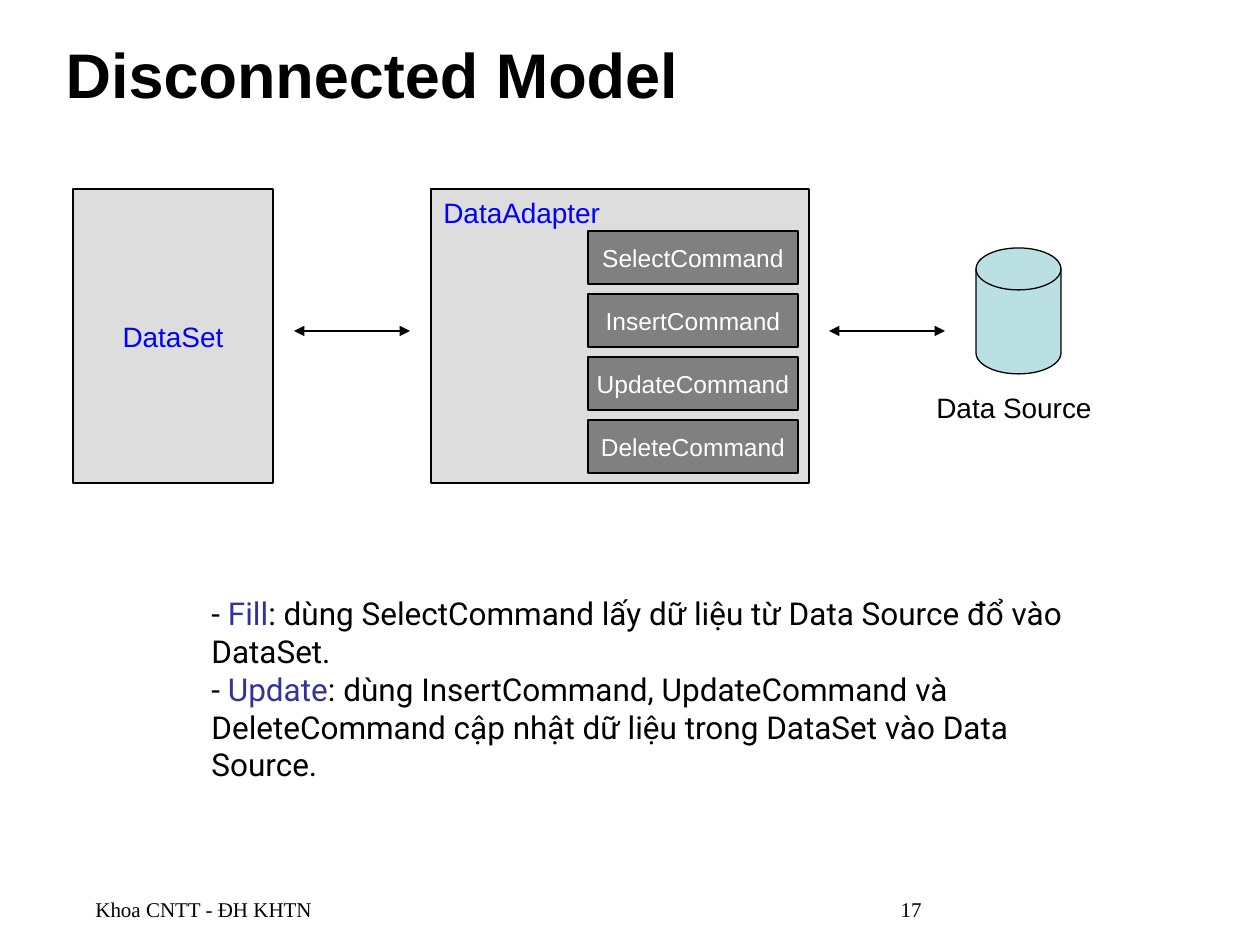
"""Build the Disconnected Model slide."""
from dataclasses import dataclass

from lxml.etree import SubElement
from pptx import Presentation
from pptx.dml.color import RGBColor
from pptx.enum.shapes import MSO_CONNECTOR, MSO_SHAPE
from pptx.enum.text import MSO_ANCHOR, MSO_AUTO_SIZE, PP_ALIGN
from pptx.oxml.ns import qn
from pptx.util import Emu, Pt

TITLE = "Disconnected Model"
COMMANDS = ["SelectCommand", "InsertCommand", "UpdateCommand", "DeleteCommand"]
METHODS = [
    ("Fill", ": dùng SelectCommand lấy dữ liệu từ Data Source đổ vào DataSet."),
    ("Update", ": dùng InsertCommand, UpdateCommand và DeleteCommand "
               "cập nhật dữ liệu trong DataSet vào Data Source."),
]
FOOTER, PAGE = "Khoa CNTT - ĐH KHTN", "17"

TITLE_BOX = (53, 21, 1144, 105)
DATASET_BOX = (73, 189, 200, 294)
ADAPTER_BOX = (431, 189, 378, 294)
ADAPTER_LABEL = (431, 189, 346, 46)
COMMAND_BOX = (588, 231, 210, 53)
COMMAND_STEP = 63
DISK_BOX = (976, 248, 85, 126)
SOURCE_LABEL = (924, 384, 252, 46)
METHODS_BOX = (73, 588, 1040, 202)
FOOTER_BOX = (53, 890, 399, 65)
PAGE_BOX = (640, 890, 294, 65)
ARROW_STARTS, ARROW_Y, ARROW_W = (294, 829), 331, 116
METHOD_INDENT, FOOTER_INDENT = 126, 30


@dataclass(frozen=True)
class Theme:
    ink: str = "000000"
    white: str = "FFFFFF"
    panel: str = "DDDDDD"
    command: str = "808080"
    disk: str = "BBE0E3"
    label: str = "0000FF"
    method: str = "333399"
    sans: str = "Arial"
    body: str = "Roboto"
    serif: str = "Times New Roman"
    title_pt: int = 36
    body_pt: int = 18
    label_pt: int = 16
    command_pt: int = 14
    footer_pt: int = 12
    line_pt: float = 0.75


T = Theme()


def px(n):
    return Emu(round(n * 914400 / 126))


def place(box):
    return [px(n) for n in box]


def write(s, *paragraphs, size=T.label_pt, font=T.sans, color=T.ink, bold=False,
          align=PP_ALIGN.LEFT, anchor=MSO_ANCHOR.TOP, wrap=True, indent=0):
    tf = s.text_frame
    tf.auto_size = MSO_AUTO_SIZE.NONE
    tf.word_wrap, tf.vertical_anchor = wrap, anchor
    for i, runs in enumerate(paragraphs):
        p = tf.add_paragraph() if i else tf.paragraphs[0]
        p.alignment = align
        pPr = p._p.get_or_add_pPr()
        pPr.set("marL", str(px(indent)))
        pPr.set("indent", "0")
        for text, run_color in [(runs, color)] if isinstance(runs, str) else runs:
            r = p.add_run()
            r.text = text
            r.font.size, r.font.name, r.font.bold = Pt(size), font, bold
            r.font.color.rgb = RGBColor.from_string(run_color)


def add_text(slide, box, *paragraphs, **fmt):
    write(slide.shapes.add_textbox(*place(box)), *paragraphs, **fmt)


def add_box(slide, box, fill, text=None, kind=MSO_SHAPE.RECTANGLE, **fmt):
    s = slide.shapes.add_shape(kind, *place(box))
    s.shadow.inherit = False
    s.fill.solid()
    s.fill.fore_color.rgb = RGBColor.from_string(fill)
    s.line.color.rgb = RGBColor.from_string(T.ink)
    s.line.width = Pt(T.line_pt)
    if text:
        write(s, text, align=PP_ALIGN.CENTER, anchor=MSO_ANCHOR.MIDDLE,
              wrap=False, **fmt)


def add_arrow(slide, x, y, width):
    s = slide.shapes.add_connector(MSO_CONNECTOR.STRAIGHT, *place((x, y, x + width, y)))
    s.line.color.rgb = RGBColor.from_string(T.ink)
    s.line.width = Pt(T.line_pt)
    ln = s.line._get_or_add_ln()
    for end in ("a:headEnd", "a:tailEnd"):
        SubElement(ln, qn(end), type="triangle")
    SubElement(s._element.spPr, qn("a:effectLst"))


def main():
    prs = Presentation()
    prs.slide_width, prs.slide_height = px(1260), px(945)
    slide = prs.slides.add_slide(prs.slide_layouts[5])

    title = slide.shapes.title
    title.left, title.top, title.width, title.height = place(TITLE_BOX)
    write(title, TITLE, size=T.title_pt, bold=True, anchor=MSO_ANCHOR.MIDDLE)

    add_box(slide, ADAPTER_BOX, T.panel)
    x, y, w, h = COMMAND_BOX
    for i, name in enumerate(COMMANDS):
        add_box(slide, (x, y + i * COMMAND_STEP, w, h), T.command, name,
                size=T.command_pt, color=T.white)
    add_text(slide, ADAPTER_LABEL, "DataAdapter", color=T.label)

    add_box(slide, DISK_BOX, T.disk, kind=MSO_SHAPE.FLOWCHART_MAGNETIC_DISK)
    add_text(slide, SOURCE_LABEL, "Data Source")
    add_box(slide, DATASET_BOX, T.panel, "DataSet", color=T.label)
    for start in ARROW_STARTS:
        add_arrow(slide, start, ARROW_Y, ARROW_W)

    lines = [[("- ", T.ink), (name, T.method), (rest, T.ink)] for name, rest in METHODS]
    add_text(slide, METHODS_BOX, *lines, size=T.body_pt, font=T.body,
             indent=METHOD_INDENT)
    for box, text, align in ((FOOTER_BOX, FOOTER, PP_ALIGN.LEFT),
                             (PAGE_BOX, PAGE, PP_ALIGN.RIGHT)):
        add_text(slide, box, text, size=T.footer_pt, font=T.serif, align=align,
                 indent=FOOTER_INDENT)
    prs.save("out.pptx")


if __name__ == "__main__":
    main()
